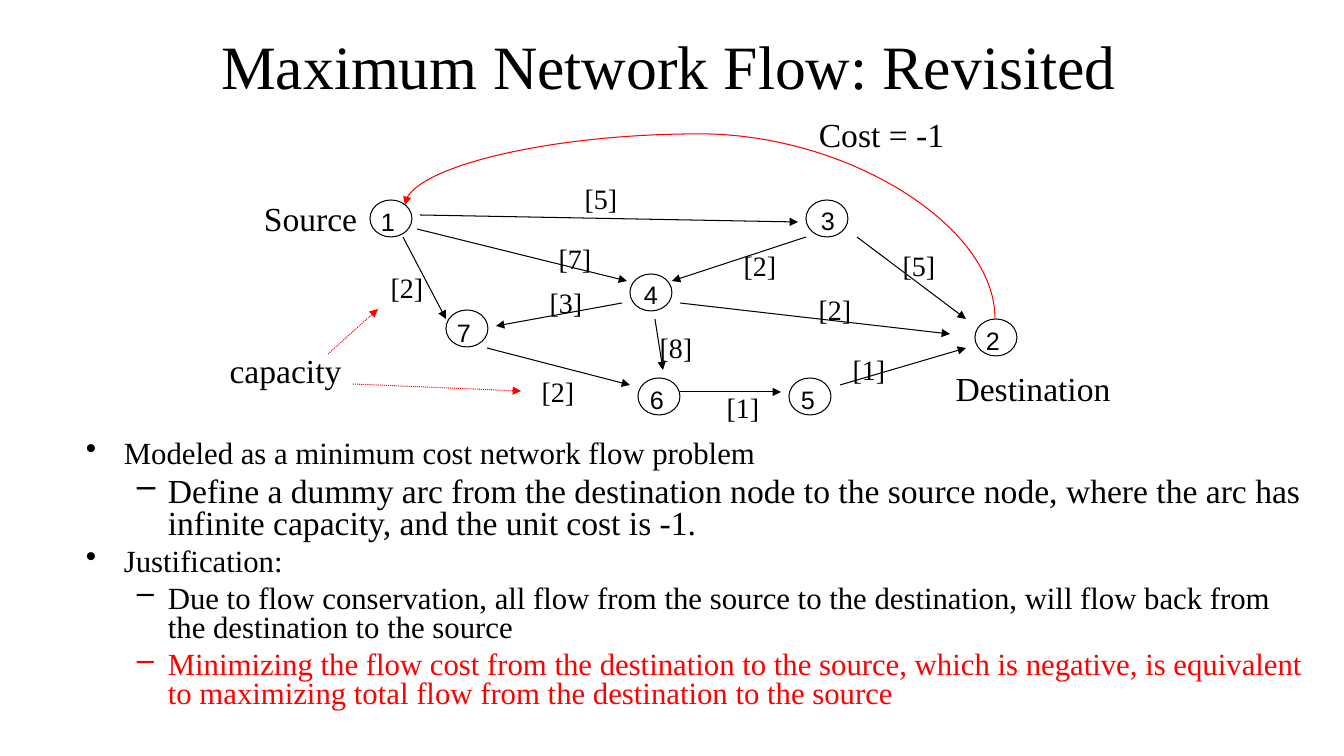
from dataclasses import dataclass

from lxml import etree
from pptx import Presentation
from pptx.dml.color import RGBColor
from pptx.enum.dml import MSO_LINE
from pptx.enum.shapes import MSO_CONNECTOR, MSO_SHAPE
from pptx.enum.text import MSO_ANCHOR, PP_ALIGN
from pptx.oxml.ns import qn
from pptx.util import Emu, Pt

STRAIGHT, CURVE = MSO_CONNECTOR.STRAIGHT, MSO_CONNECTOR.CURVE
OVAL = MSO_SHAPE.OVAL
DOTTED = MSO_LINE.ROUND_DOT
CENTER, LEFT = PP_ALIGN.CENTER, PP_ALIGN.LEFT
TOP, MIDDLE = MSO_ANCHOR.TOP, MSO_ANCHOR.MIDDLE
EMU_PER_PX = 914400 / 100.8


@dataclass(frozen=True)
class Theme:
    """Colours, fonts and point sizes of the slide."""
    ink: RGBColor = RGBColor(0, 0, 0)
    accent: RGBColor = RGBColor(255, 0, 0)
    paper: RGBColor = RGBColor(255, 255, 255)
    serif: str = "Times New Roman"
    sans: str = "Arial"
    title: int = 44
    caption: int = 24
    body: int = 22
    capacity: int = 20
    node: int = 18
    line: float = 0.75


def px(n):
    """Turn pixels into EMU."""
    return Emu(round(n * EMU_PER_PX))


class Deck:
    """Style and current slide, with one method per kind of element."""

    def __init__(self, slide, theme):
        """Keep the slide and the theme."""
        self.slide, self.theme = slide, theme

    def frame(self, x, y, w, h, anchor=TOP):
        """Add an empty wrapping text box and return its text frame."""
        tf = self.slide.shapes.add_textbox(px(x), px(y), px(w), px(h)).text_frame
        tf.word_wrap = True
        tf.vertical_anchor = anchor
        return tf

    def set_text(self, p, text, size, color=None, font=None, align=CENTER):
        """Fill one paragraph and format its run."""
        p.text, p.alignment = text, align
        r = p.runs[0]
        r.font.size = Pt(size)
        r.font.name = font or self.theme.serif
        r.font.color.rgb = color or self.theme.ink

    def label(self, text, box, size, font=None, anchor=TOP):
        """Add a centred one-line text."""
        tf = self.frame(*box, anchor)
        self.set_text(tf.paragraphs[0], text, size, font=font)

    def node(self, number, x, y, text_x, text_y):
        """Add a circled node number."""
        sp = self.slide.shapes.add_shape(OVAL, px(x), px(y), px(42), px(37))
        sp.shadow.inherit = False
        sp.fill.solid()
        sp.fill.fore_color.rgb = self.theme.paper
        sp.line.color.rgb = self.theme.ink
        sp.line.width = Pt(self.theme.line)
        self.label(number, (text_x, text_y, 33, 40), self.theme.node, self.theme.sans)

    def arrow(self, x1, y1, x2, y2, color=None, dash=None, kind=STRAIGHT):
        """Add a connector with an arrowhead at its end."""
        c = self.slide.shapes.add_connector(kind, px(x1), px(y1), px(x2), px(y2))
        c.line.color.rgb = color or self.theme.ink
        c.line.width = Pt(self.theme.line)
        if dash:
            c.line.dash_style = dash
        spPr = c._element.spPr
        etree.SubElement(spPr.find(qn("a:ln")), qn("a:tailEnd"), type="triangle")
        etree.SubElement(spPr, qn("a:effectLst"))
        return c

    def arc(self, x1, y1, x2, y2, bend):
        """Add a curved arrow that leaves and arrives vertically."""
        cx, cy = (x1 + x2) / 2, (y1 + y2) / 2
        half_w, half_h = (y1 - y2) / 2, (x1 - x2) / 2
        c = self.arrow(cx + half_w, cy - half_h, cx - half_w, cy + half_h,
                       self.theme.accent, kind=CURVE)
        spPr = c._element.spPr
        spPr.find(qn("a:xfrm")).set("rot", str(90 * 60000))
        guides = spPr.find(qn("a:prstGeom")).get_or_add_avLst()
        etree.SubElement(guides, qn("a:gd"), name="adj1",
                         fmla=f"val {round(bend * 100000)}")

    def bullets(self, box, items):
        """Add a two-level bulleted list."""
        tf = self.frame(*box)
        for i, (level, text, size, color) in enumerate(items):
            p = tf.add_paragraph() if i else tf.paragraphs[0]
            self.set_text(p, text, size, color, align=LEFT)
            p.level = level
            p.line_spacing = 0.8
            p.space_before = Pt(5)
            margin, hang, mark = ((38, 38, "•"), (82, 31, "–"))[level]
            pPr = p._p.get_or_add_pPr()
            pPr.set("marL", str(px(margin)))
            pPr.set("indent", str(px(-hang)))
            etree.SubElement(pPr, qn("a:buChar"), char=mark)


NODES = [
    ("1", 370, 200, 371, 201), ("7", 446, 310, 447, 312),
    ("4", 630, 274, 634, 274), ("3", 806, 200, 811, 200),
    ("6", 638, 378, 640, 379), ("5", 789, 378, 791, 379),
    ("2", 975, 319, 976, 320),
]
# Each edge: arrow ends, capacity, top left of the capacity label
EDGES = [
    ((403, 237, 446, 319), "[2]", (378, 266)),
    ((417, 229, 627, 281), "[7]", (546, 237)),
    ((420, 215, 798, 222), "[5]", (572, 177)),
    ((806, 237, 672, 281), "[2]", (731, 244)),
    ((622, 303, 496, 326), "[3]", (537, 281)),
    ((487, 348, 630, 385), "[2]", (529, 370)),
    ((680, 392, 781, 392), "[1]", (714, 386)),
    ((840, 385, 966, 348), "[1]", (840, 348)),
    ((680, 303, 950, 334), "[2]", (806, 288)),
    ((857, 237, 966, 319), "[5]", (890, 244)),
    ((655, 319, 663, 370), "[8]", (647, 326)),
]
CAPTIONS = [
    ("Source", 235, 193, 151), ("Destination", 941, 363, 184),
    ("Cost = -1", 764, 109, 235), ("capacity", 210, 345, 151),
]
CAPACITY_POINTERS = [(328, 354, 378, 309), (353, 384, 521, 391)]


def main():
    """Build the slide and save it."""
    theme = Theme()
    prs = Presentation()
    prs.slide_width, prs.slide_height = px(1344), px(756)
    s = Deck(prs.slides.add_slide(prs.slide_layouts[6]), theme)

    s.label("Maximum Network Flow: Revisited", (194, 17, 950, 96), theme.title,
            anchor=MIDDLE)
    s.bullets((76, 436, 1243, 277), [
        (0, "Modeled as a minimum cost network flow problem", theme.body, theme.ink),
        (1, "Define a dummy arc from the destination node to the source node, "
            "where the arc has infinite capacity, and the unit cost is -1.",
         theme.caption, theme.ink),
        (0, "Justification: ", theme.body, theme.ink),
        (1, "Due to flow conservation, all flow from the source to the destination, "
            "will flow back from the destination to the source",
         theme.body, theme.ink),
        (1, "Minimizing the flow cost from the destination to the source, which is "
            "negative, is equivalent to maximizing total flow from the destination "
            "to the source", theme.body, theme.accent),
    ])
    for node in NODES:
        s.node(*node)
    for ends, capacity, corner in EDGES:
        s.arrow(*ends)
        s.label(capacity, (*corner, 58, 43), theme.capacity)
    s.arc(995, 318, 405, 205, bend=1.63)
    for text, x, y, w in CAPTIONS:
        s.label(text, (x, y, w, 50), theme.caption)
    for ends in CAPACITY_POINTERS:
        s.arrow(*ends, theme.accent, DOTTED)

    prs.save("out.pptx")


main()
